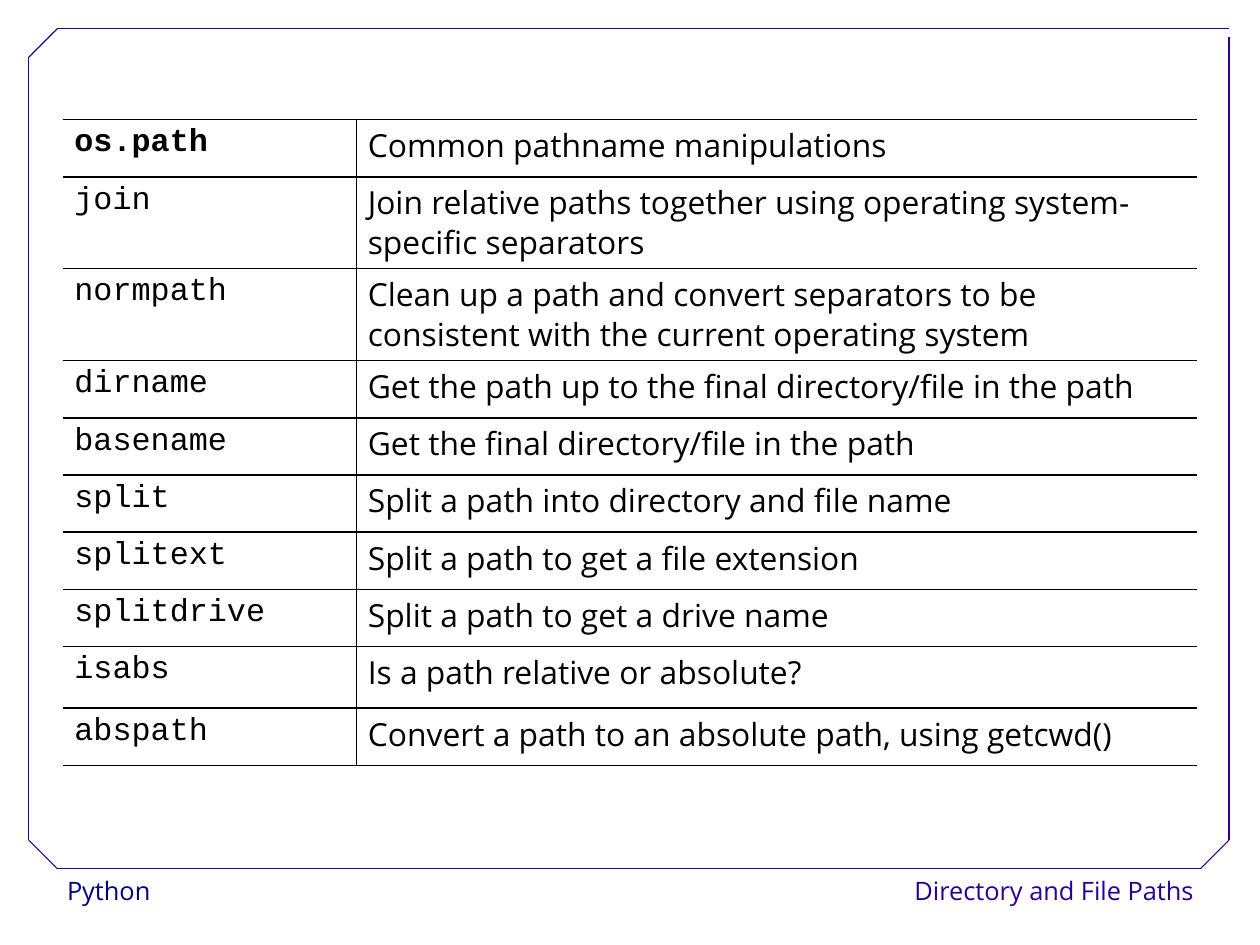
from typing import NamedTuple

from lxml.etree import SubElement
from pptx import Presentation
from pptx.dml.color import RGBColor
from pptx.enum.shapes import MSO_CONNECTOR, MSO_SHAPE
from pptx.enum.text import MSO_ANCHOR, PP_ALIGN
from pptx.oxml.ns import qn
from pptx.slide import Slide
from pptx.table import _Cell
from pptx.text.text import _Paragraph
from pptx.util import Cm, Pt

BLACK = RGBColor(0x00, 0x00, 0x00)
WHITE = RGBColor(0xFF, 0xFF, 0xFF)
NAVY = RGBColor(0x00, 0x00, 0x80)
INDIGO = RGBColor(0x28, 0x00, 0x99)

BODY_FONT = "Open Sans"
CODE_FONT = "Courier New"


class Footer(NamedTuple):
    text: str
    left: float
    width: float
    color: RGBColor
    align: PP_ALIGN


class FrameLine(NamedTuple):
    x1: float
    y1: float
    x2: float
    y2: float


class Entry(NamedTuple):
    function: str
    meaning: str
    height: float = 1.27


FOOTERS = [
    Footer("Python", 1.24, 5.46, NAVY, PP_ALIGN.LEFT),
    Footer("Directory and File Paths", 23.22, 3.56, INDIGO, PP_ALIGN.RIGHT),
]

# Frame edges and, just inside them, the ends of the cut corners
LEFT, RIGHT, TOP, BOTTOM = 0.64, 27.31, 0.64, 19.3
CUT = 0.63
FRAME = [
    FrameLine(LEFT + CUT, BOTTOM, RIGHT - CUT, BOTTOM),
    FrameLine(LEFT, BOTTOM - CUT, LEFT, TOP + CUT),
    FrameLine(LEFT + CUT, TOP, RIGHT, TOP),
    FrameLine(RIGHT, BOTTOM - CUT, RIGHT, 0.82),
    FrameLine(LEFT, TOP + CUT, LEFT + CUT, TOP),
    FrameLine(RIGHT - CUT, BOTTOM, RIGHT, BOTTOM - CUT),
    FrameLine(LEFT, BOTTOM - CUT, LEFT + CUT, BOTTOM),
]

COLUMN_WIDTHS = [6.52, 18.69]
TWO_LINES = 1.83
ENTRIES = [
    Entry("os.path", "Common pathname manipulations"),
    Entry("join", "Join relative paths together using operating "
          "system-specific separators", TWO_LINES),
    Entry("normpath", "Clean up a path and convert separators to be "
          "consistent with the current operating system", TWO_LINES),
    Entry("dirname", "Get the path up to the final directory/file in the path"),
    Entry("basename", "Get the final directory/file in the path"),
    Entry("split", "Split a path into directory and file name"),
    Entry("splitext", "Split a path to get a file extension"),
    Entry("splitdrive", "Split a path to get a drive name"),
    Entry("isabs", "Is a path relative or absolute?", 1.37),
    Entry("abspath", "Convert a path to an absolute path, using getcwd()"),
]


def add_run(paragraph: _Paragraph, text: str, font: str, size: int,
            color: RGBColor, bold: bool = False) -> None:
    run = paragraph.add_run()
    run.text = text
    run.font.name = font
    run.font.size = Pt(size)
    run.font.bold = bold
    run.font.color.rgb = color


def add_footer(slide: Slide, footer: Footer) -> None:
    label = slide.shapes.add_shape(MSO_SHAPE.RECTANGLE, Cm(footer.left), Cm(BOTTOM),
                                   Cm(footer.width), Cm(1.02))
    label.shadow.inherit = False
    label.fill.solid()
    label.fill.fore_color.rgb = WHITE
    label.line.fill.background()
    label.text_frame.word_wrap = False
    label.text_frame.vertical_anchor = MSO_ANCHOR.TOP
    paragraph = label.text_frame.paragraphs[0]
    paragraph.alignment = footer.align
    paragraph.line_spacing = 1.02
    add_run(paragraph, footer.text, BODY_FONT, 16, footer.color)


def add_frame_line(slide: Slide, ends: FrameLine) -> None:
    edge = slide.shapes.add_connector(MSO_CONNECTOR.STRAIGHT, Cm(ends.x1), Cm(ends.y1),
                                      Cm(ends.x2), Cm(ends.y2))
    edge.line.color.rgb = INDIGO
    edge.line.width = Pt(0.75)
    SubElement(edge._element.spPr, qn("a:effectLst"))


def set_borders(cell: _Cell, ruled_sides: str) -> None:
    """Rule the sides named by their letters (L, R, T, B) and clear the others."""
    properties = cell._tc.get_or_add_tcPr()
    for side in "LRTB":
        border = SubElement(properties, qn(f"a:ln{side}"), w=str(Pt(1)))
        if side in ruled_sides:
            fill = SubElement(border, qn("a:solidFill"))
            SubElement(fill, qn("a:srgbClr"), val=str(BLACK))
        else:
            SubElement(border, qn("a:noFill"))


def fill_cell(cell: _Cell, text: str, font: str, bold: bool, ruled_sides: str) -> None:
    set_borders(cell, ruled_sides)
    cell.fill.background()
    paragraph = cell.text_frame.paragraphs[0]
    paragraph.line_spacing = 0.93
    paragraph.space_after = Pt(14.2)
    add_run(paragraph, text, font, 20, BLACK, bold)


def add_function_table(slide: Slide) -> None:
    height = sum(entry.height for entry in ENTRIES)
    functions = slide.shapes.add_table(len(ENTRIES), len(COLUMN_WIDTHS), Cm(1.4), Cm(2.66),
                                       Cm(sum(COLUMN_WIDTHS)), Cm(height)).table
    functions.first_row = False
    functions.horz_banding = False
    for column, width in zip(functions.columns, COLUMN_WIDTHS):
        column.width = Cm(width)
    for index, entry in enumerate(ENTRIES):
        functions.rows[index].height = Cm(entry.height)
        fill_cell(functions.cell(index, 0), entry.function, CODE_FONT, index == 0, "RTB")
        fill_cell(functions.cell(index, 1), entry.meaning, BODY_FONT, False, "LTB")


def main() -> None:
    presentation = Presentation()
    presentation.slide_width = Cm(28)
    presentation.slide_height = Cm(21)
    slide = presentation.slides.add_slide(presentation.slide_layouts[6])
    for footer in FOOTERS:
        add_footer(slide, footer)
    for ends in FRAME:
        add_frame_line(slide, ends)
    add_function_table(slide)
    presentation.save("out.pptx")


if __name__ == "__main__":
    main()
